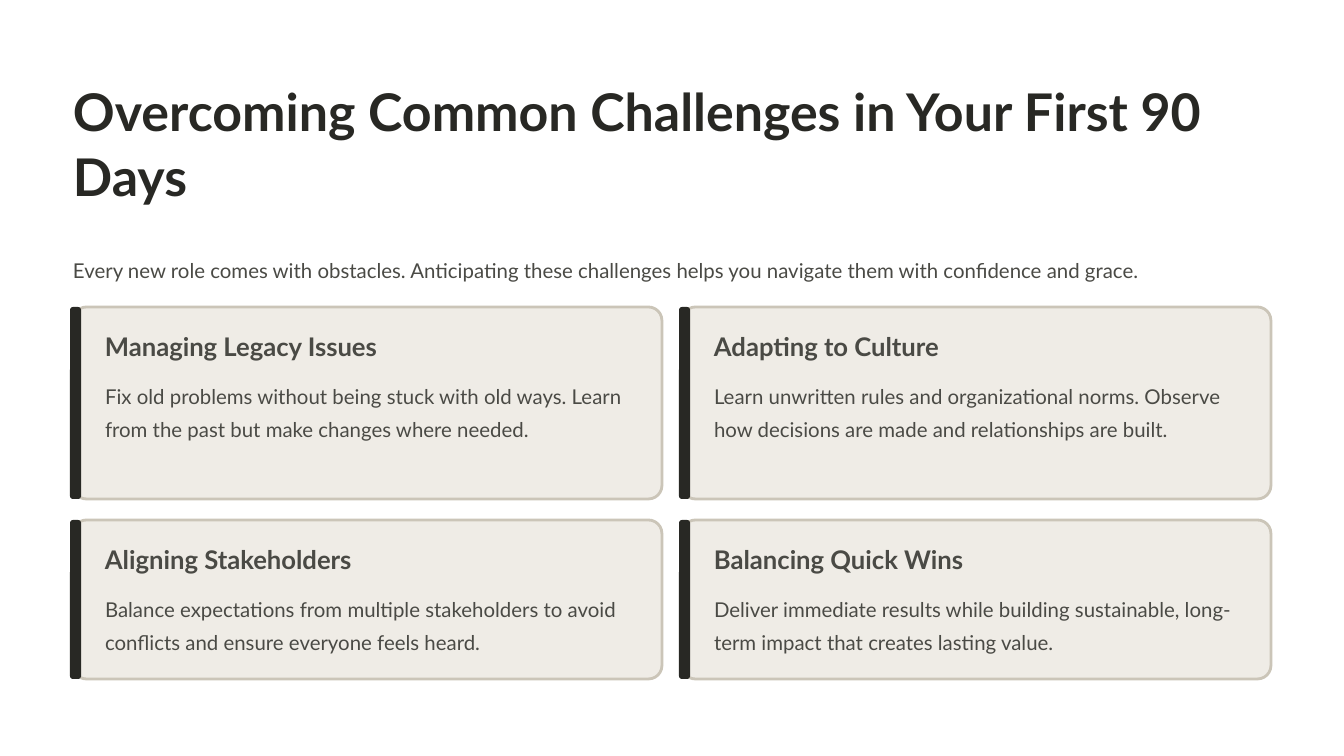
from pptx import Presentation
from pptx import util as u
from pptx.dml import color
from pptx.enum import shapes, text

HEADLINE = "Overcoming Common Challenges in Your First 90 Days"
INTRO = ("Every new role comes with obstacles. Anticipating these challenges "
         "helps you navigate them with confidence and grace.")
CHALLENGES = [
    [("Managing Legacy Issues",
      "Fix old problems without being stuck with old ways. "
      "Learn from the past but make changes where needed."),
     ("Adapting to Culture",
      "Learn unwritten rules and organizational norms. "
      "Observe how decisions are made and relationships are built.")],
    [("Aligning Stakeholders",
      "Balance expectations from multiple stakeholders to avoid "
      "conflicts and ensure everyone feels heard."),
     ("Balancing Quick Wins",
      "Deliver immediate results while building sustainable, "
      "long-term impact that creates lasting value.")],
]
INK, BODY, CARD, EDGE = "282824", "4A4A45", "EFECE6", "CBC5B8"
HEADLINE_STYLE = {"size": 44.5, "bold": True, "color": INK, "leading": 55.5}
HEADING_STYLE = {"size": 22, "bold": True, "color": BODY, "leading": 27.5}
BODY_STYLE = {"size": 17.5, "bold": False, "color": BODY, "leading": 28.5}

PX = u.Inches(1) / 84
LEFT, TOP, WIDTH = 73, 307, 1198
GAP = 20
CARD_WIDTH = (WIDTH - GAP) // 2
ROW_HEIGHTS = [192, 159]
ROW_GAP = 21
CARD_RADIUS, BAR_RADIUS = 13.5, 3
BAR_WIDTH, BAR_SHIFT = 11, 3
INSET, HEADING_DROP, BODY_DROP = 32, 23, 68
TEXT_WIDTH = 533


def px(*lengths):
    return [u.Emu(round(length * PX)) for length in lengths]


def rgb(value):
    return color.RGBColor.from_string(value)


def write(holder, wording, style, wrap=True):
    frame = holder.text_frame
    frame_format = {
        "margin_left": 0, "margin_top": 0, "margin_right": 0, "margin_bottom": 0,
        "word_wrap": wrap, "auto_size": text.MSO_AUTO_SIZE.NONE,
        "vertical_anchor": text.MSO_ANCHOR.TOP,
    }
    for key, value in frame_format.items():
        setattr(frame, key, value)
    paragraph = frame.paragraphs[0]
    paragraph.alignment = text.PP_ALIGN.LEFT
    paragraph.line_spacing = u.Pt(style["leading"])
    run = paragraph.add_run()
    run.text = wording
    font_format = {"name": "Lato", "size": u.Pt(style["size"]), "bold": style["bold"]}
    for key, value in font_format.items():
        setattr(run.font, key, value)
    run.font.color.rgb = rgb(style["color"])


def add_words(slide, box, wording, style, wrap=True):
    write(slide.shapes.add_textbox(*px(*box)), wording, style, wrap)


def add_panel(slide, box, radius, fill, edge=None):
    panel = slide.shapes.add_shape(shapes.MSO_SHAPE.ROUNDED_RECTANGLE, *px(*box))
    panel.adjustments[0] = radius / min(box[2:])
    panel.shadow.inherit = False
    panel.fill.solid()
    panel.fill.fore_color.rgb = rgb(fill)
    if edge:
        panel.line.color.rgb = rgb(edge)
        panel.line.width = u.Pt(2.4)
    else:
        panel.line.fill.background()


def add_challenge(slide, left, top, height, heading, advice):
    add_panel(slide, (left, top, CARD_WIDTH, height), CARD_RADIUS, CARD, EDGE)
    add_panel(slide, (left - BAR_SHIFT, top, BAR_WIDTH, height), BAR_RADIUS, INK)
    inner = left + INSET
    add_words(slide, (inner, top + HEADING_DROP, 276, 33), heading, HEADING_STYLE, False)
    add_words(slide, (inner, top + BODY_DROP, TEXT_WIDTH, 67), advice, BODY_STYLE)


def main():
    deck = Presentation()
    deck.slide_width, deck.slide_height = u.Inches(16), u.Inches(9)
    slide = deck.slides.add_slide(deck.slide_layouts[5])
    headline = slide.shapes.title
    headline.left, headline.top, headline.width, headline.height = px(LEFT, 77, WIDTH, 130)
    write(headline, HEADLINE, HEADLINE_STYLE)
    add_words(slide, (LEFT, 249, WIDTH, 34), INTRO, BODY_STYLE, False)
    top = TOP
    for height, row in zip(ROW_HEIGHTS, CHALLENGES):
        for column, (heading, advice) in enumerate(row):
            left = LEFT + column * (CARD_WIDTH + GAP)
            add_challenge(slide, left, top, height, heading, advice)
        top += height + ROW_GAP
    deck.save("out.pptx")


if __name__ == "__main__":
    main()
